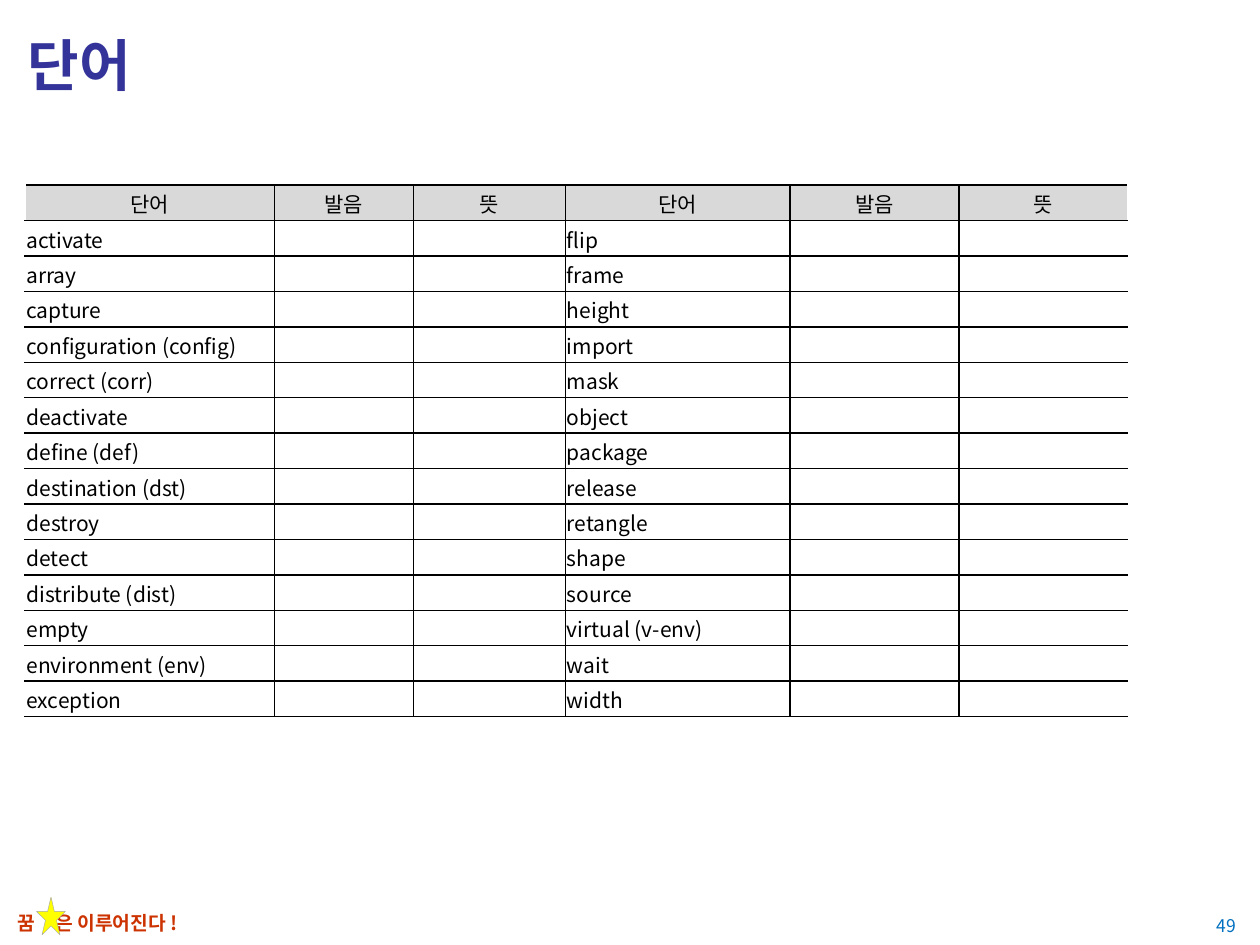
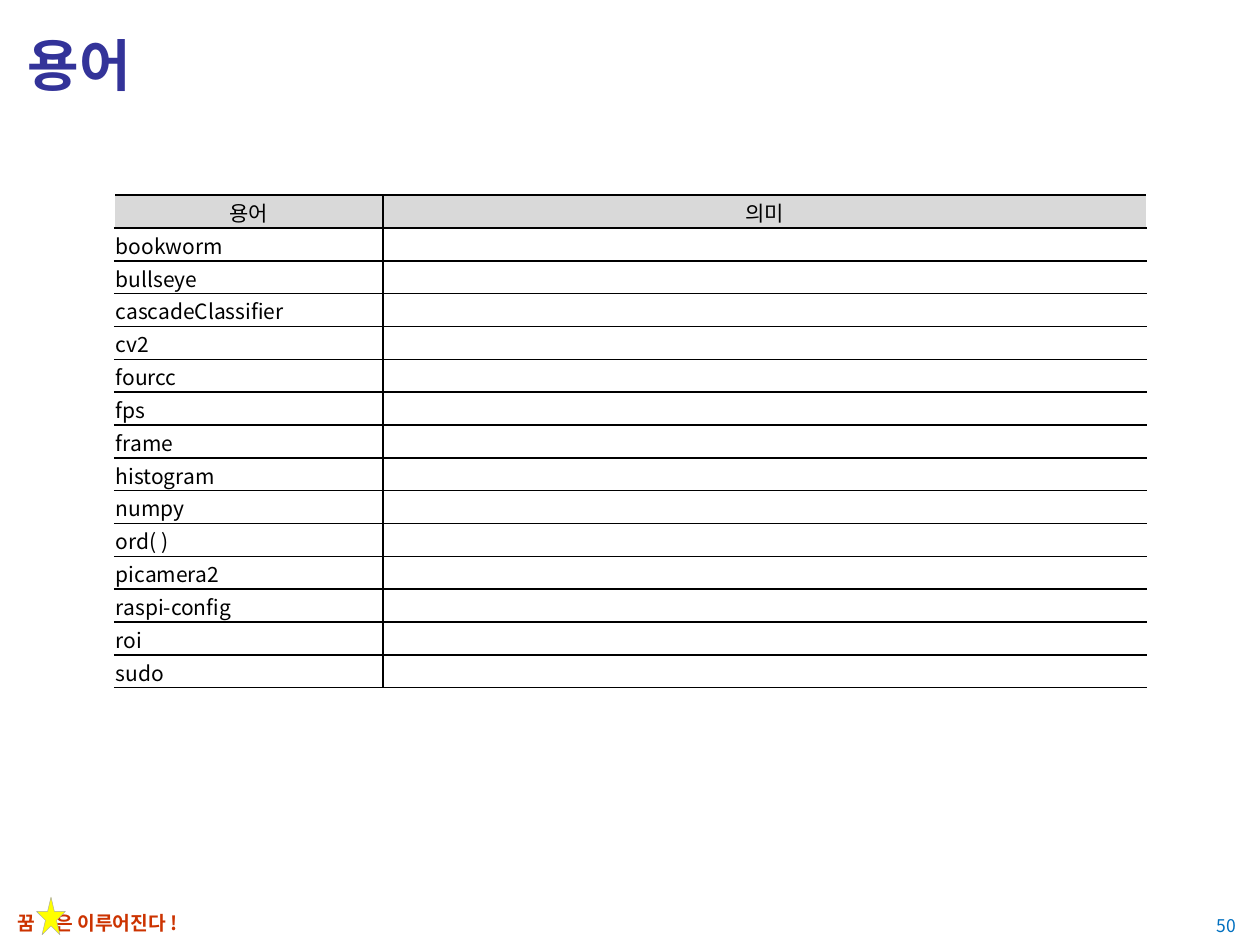
from dataclasses import dataclass

from lxml import etree
from pptx import Presentation
from pptx.dml.color import RGBColor
from pptx.enum.shapes import MSO_SHAPE
from pptx.enum.text import MSO_ANCHOR, MSO_AUTO_SIZE, PP_ALIGN
from pptx.oxml.ns import qn
from pptx.util import Inches, Pt

LEFT, CENTER, RIGHT = PP_ALIGN.LEFT, PP_ALIGN.CENTER, PP_ALIGN.RIGHT
MIDDLE = MSO_ANCHOR.MIDDLE
STAR = MSO_SHAPE.STAR_5_POINT


@dataclass(frozen=True)
class Theme:
    font: str = "Noto Sans CJK KR"
    title: str = "333399"
    motto: str = "CC3300"
    number: str = "0070C0"
    star: str = "FFFF00"
    star_line: str = "A6A6A6"
    ink: str = "000000"
    paper: str = "FFFFFF"
    header: str = "D9D9D9"
    title_size: int = 32
    motto_size: int = 11
    number_size: int = 10
    table_size: int = 12


T = Theme()

WORDS = [
    ("activate", "flip"),
    ("array", "frame"),
    ("capture", "height"),
    ("configuration (config)", "import"),
    ("correct (corr)", "mask"),
    ("deactivate", "object"),
    ("define (def)", "package"),
    ("destination (dst)", "release"),
    ("destroy", "retangle"),
    ("detect", "shape"),
    ("distribute (dist)", "source"),
    ("empty", "virtual (v-env)"),
    ("environment (env)", "wait"),
    ("exception", "width"),
]
TERMS = [
    "bookworm", "bullseye", "cascadeClassifier", "cv2", "fourcc", "fps", "frame",
    "histogram", "numpy", "ord( )", "picamera2", "raspi-config", "roi", "sudo",
]

# Table places and sizes are percentages of the slide's width and height.
PAGES = [
    dict(title="단어", number=49, left=2, top=19.6, row_height=3.75,
         cols=[19.8, 11, 12.1, 17.8, 13.4, 13.4],
         rows=[["단어", "발음", "뜻"] * 2]
         + [[a, "", "", b, "", ""] for a, b in WORDS]),
    dict(title="용어", number=50, left=9.1, top=20.65, row_height=3.48,
         cols=[21.3, 60.6],
         rows=[["용어", "의미"]] + [[term, ""] for term in TERMS]),
]

prs = Presentation()
prs.slide_width, prs.slide_height = Inches(10), Inches(7.5)


def box(left, top, width, height):
    """Turn percentages of the slide into a position and size."""
    w, h = prs.slide_width / 100, prs.slide_height / 100
    return int(left * w), int(top * h), int(width * w), int(height * h)


def write(tf, text, size, color, bold=False, align=LEFT):
    p = tf.paragraphs[0]
    p.alignment = align
    r = p.add_run()
    r.text = text
    r.font.size, r.font.bold, r.font.name = Pt(size), bold, T.font
    r.font.color.rgb = RGBColor.from_string(color)
    etree.SubElement(r.font._element, qn("a:ea"), typeface=T.font)


for page in PAGES:
    slide = prs.slides.add_slide(prs.slide_layouts[5])

    # Title
    title = slide.shapes.title
    title.left, title.top, title.width, title.height = box(1.2, 1.33, 97.6, 10.93)
    title.text_frame.vertical_anchor = MIDDLE
    title.text_frame.auto_size = MSO_AUTO_SIZE.NONE
    write(title.text_frame, page["title"], T.title_size, T.title, bold=True)

    # Footer: motto with a star in its gap, and the page number
    tf = slide.shapes.add_textbox(*box(0.4, 95.73, 52.3, 3.73)).text_frame
    tf.word_wrap, tf.vertical_anchor = True, MIDDLE
    pPr = tf.paragraphs[0]._p.get_or_add_pPr()
    tabs = etree.SubElement(pPr, qn("a:tabLst"))
    etree.SubElement(tabs, qn("a:tab"), pos=str(Inches(0.3)), algn="l")
    write(tf, "꿈\t은 이루어진다 !", T.motto_size, T.motto, bold=True)

    star = slide.shapes.add_shape(STAR, *box(2.9, 94.93, 2.3, 4))
    star.shadow.inherit = False
    star.fill.solid()
    star.fill.fore_color.rgb = RGBColor.from_string(T.star)
    star.line.color.rgb = RGBColor.from_string(T.star_line)
    star.line.width = Pt(0.25)

    tf = slide.shapes.add_textbox(*box(93.3, 95.6, 5.8, 4.67)).text_frame
    tf.word_wrap, tf.vertical_anchor = True, MIDDLE
    write(tf, str(page["number"]), T.number_size, T.number, align=RIGHT)

    # Table, open at its left and right sides
    rows, cols = page["rows"], page["cols"]
    place = box(page["left"], page["top"], sum(cols), page["row_height"] * len(rows))
    table = slide.shapes.add_table(len(rows), len(cols), *place).table
    table.horz_banding = False
    for column, share in zip(table.columns, cols):
        column.width = box(0, 0, share, 0)[2]
    for i, row in enumerate(rows):
        table.rows[i].height = box(0, 0, 0, page["row_height"])[3]
        for j, text in enumerate(row):
            cell = table.cell(i, j)
            cell.vertical_anchor = MIDDLE
            cell.margin_left = cell.margin_right = cell.margin_top = Inches(0.01)
            cell.margin_bottom = 0
            if text:
                write(cell.text_frame, text, T.table_size, T.ink,
                      align=LEFT if i else CENTER)
            else:
                etree.SubElement(cell.text_frame.paragraphs[0]._p,
                                 qn("a:endParaRPr"), sz=str(T.table_size * 100))
            edges = {"L": T.ink if j else T.paper,
                     "R": T.ink if j < len(cols) - 1 else T.paper,
                     "T": T.ink, "B": T.ink}
            for side, color in edges.items():
                ln = etree.SubElement(cell._tc.get_or_add_tcPr(),
                                      qn(f"a:ln{side}"), w=str(Pt(1)))
                fill = etree.SubElement(ln, qn("a:solidFill"))
                etree.SubElement(fill, qn("a:srgbClr"), val=color)
            cell.fill.solid()
            cell.fill.fore_color.rgb = RGBColor.from_string(T.paper if i else T.header)

prs.save("out.pptx")
